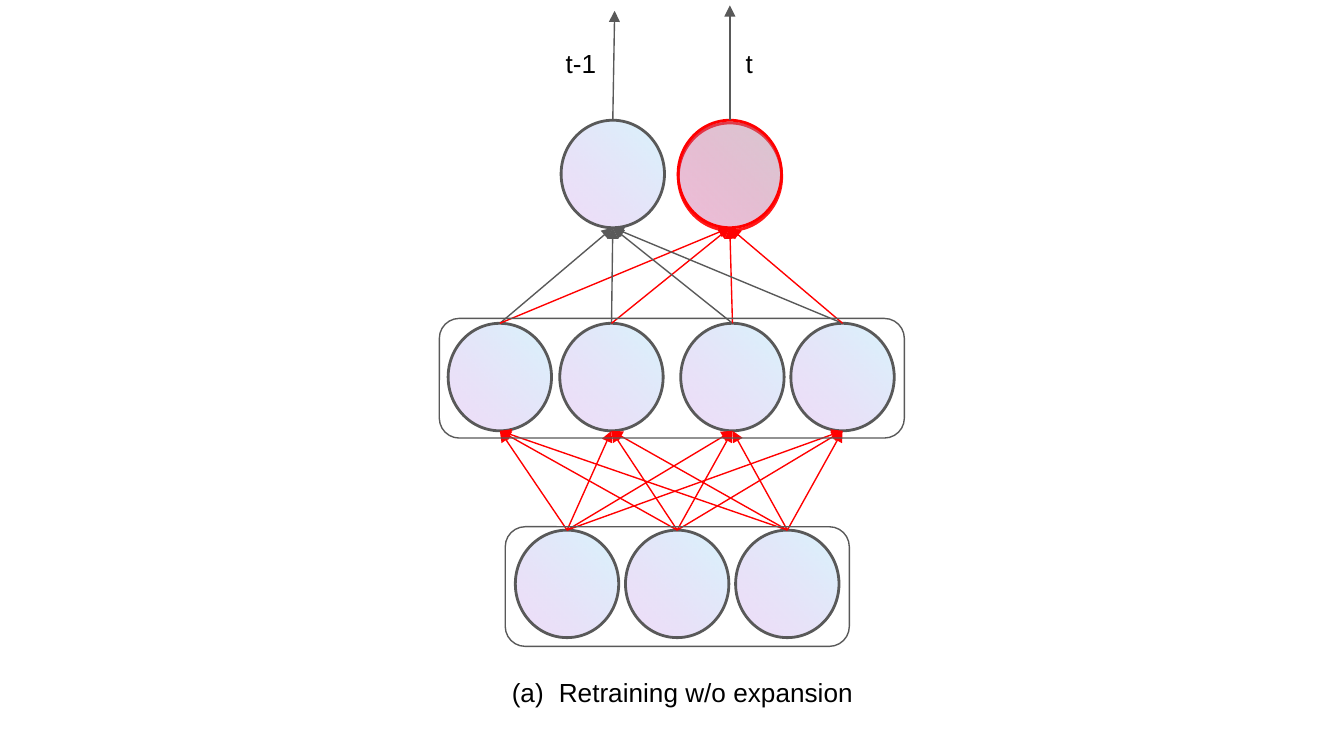
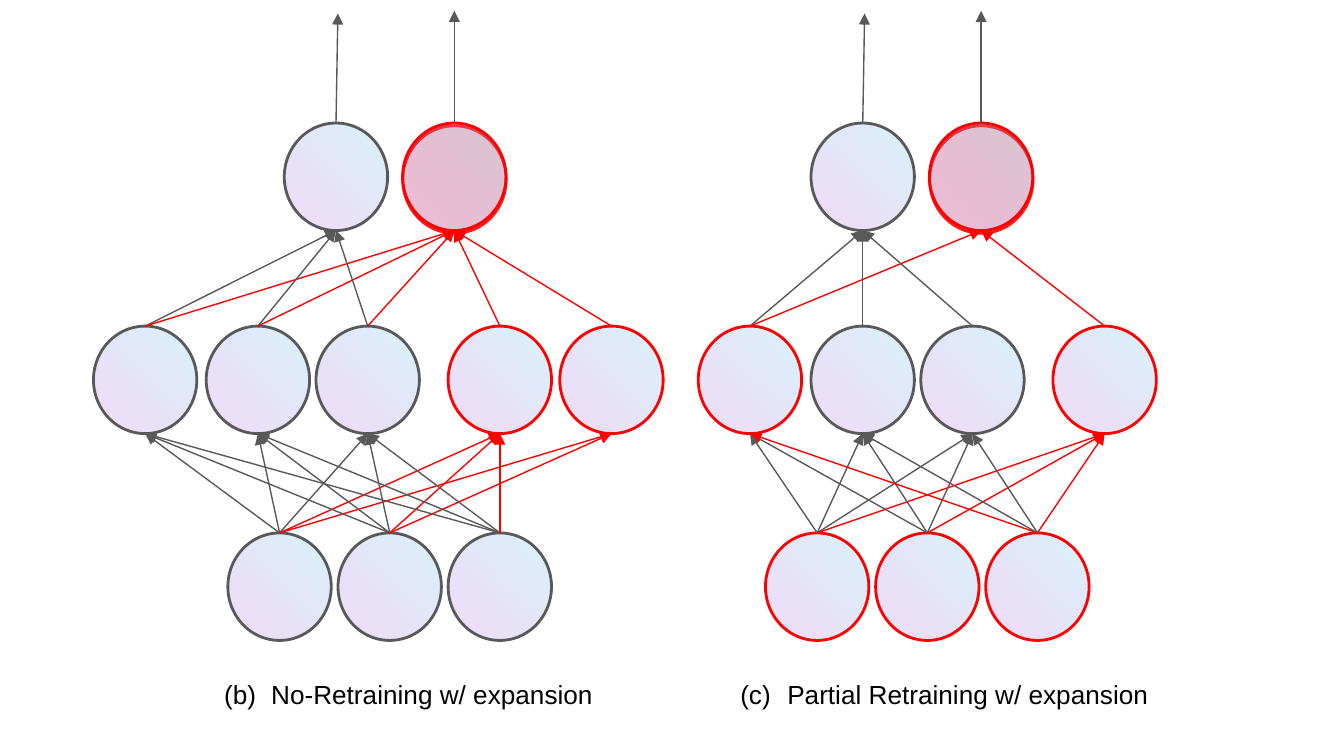
import pptx
import pptx.dml.color
import pptx.enum.dml
import pptx.enum.shapes
import pptx.enum.text
import pptx.oxml.ns
import pptx.util
from lxml import etree

Pt = pptx.util.Pt
RGB = pptx.dml.color.RGBColor
SHAPE = pptx.enum.shapes.MSO_SHAPE
qn = pptx.oxml.ns.qn

GREY = RGB(0x59, 0x59, 0x59)
RED = RGB(0xFF, 0x00, 0x00)
BLACK = RGB(0x00, 0x00, 0x00)
CYAN = RGB(0x69, 0xD4, 0xF4)
VIOLET = RGB(0x9F, 0x39, 0xD5)
INKS = {"g": GREY, "r": RED}

NODE_W, NODE_H = 57.6, 55.4
REACH = NODE_W / 2  # nodes are turned, so their width runs upright
MID_DROP, LOW_DROP = 108.8, 219.6
FONT = {"name": "Arial", "size": Pt(14)}
BOX = {"word_wrap": True,
       "auto_size": pptx.enum.text.MSO_AUTO_SIZE.SHAPE_TO_FIT_TEXT,
       "margin_left": Pt(7.2), "margin_right": Pt(7.2),
       "margin_top": Pt(7.2), "margin_bottom": Pt(7.2)}

# Layers hold node centres and one ink letter per node.
# Links hold one word per source node and one letter per target ("-" is none).
NET_A = {
    "y": 93.2, "tips": (5.8, 2.9),
    "low": ((303.8, 362.8, 421.8), "ggg"),
    "mid": ((267.8, 327.6, 392.4, 451.4), "gggg"),
    "top": ((328.3, 391), "gr"),
    "rise": "rrrr rrrr rrrr", "merge": "gr gr gr gr",
}
NET_B = {
    "y": 94.7, "tips": (7.2, 5.8),
    "low": ((149.8, 208.8, 267.8), "ggg"),
    "mid": ((77.8, 138.2, 197, 267.8, 327.6), "gggrr"),
    "top": ((180, 243.4), "gr"),
    "rise": "gggrr gggrr gggr-", "merge": "gr gr gr -r -r",
}
NET_C = {
    "y": 94.7, "tips": (7.2, 5.8),
    "low": ((437.8, 496.8, 555.8), "rrr"),
    "mid": ((401.8, 462.2, 521, 591.8), "rggr"),
    "top": ((462.2, 525.6), "gr"),
    "rise": "gggr gggr rggr", "merge": "gr g- g- -r",
}


def put(item, values):
    for name, value in values.items():
        setattr(item, name, value)


def add(root, tag, **values):
    return etree.SubElement(root, qn(tag), values)


def stroke(shape, ink, width):
    shape.line.color.rgb = ink
    shape.line.width = Pt(width)


def add_node(host, x, y, ink, glow=False):
    node = host.add_shape(SHAPE.OVAL, Pt(x - NODE_W / 2), Pt(y - NODE_H / 2),
                          Pt(NODE_W), Pt(NODE_H))
    node.rotation = 270
    node.fill.gradient()
    node.fill.gradient_angle = 135
    for stop, tint in zip(node.fill.gradient_stops, (CYAN, VIOLET)):
        stop.color.rgb = tint
    props = node._element.spPr
    for clr, alpha in zip(props.iter(qn("a:srgbClr")), ("26000", "17000")):
        add(clr, "a:alpha", val=alpha)
    stroke(node, ink, 1.5)
    node.shadow.inherit = False
    if glow:
        cast = add(props.find(qn("a:effectLst")), "a:outerShdw", blurRad="0",
                   dist="19050", dir="5100000", algn="bl", rotWithShape="0")
        add(add(cast, "a:srgbClr", val=str(RED)), "a:alpha", val="89000")


def add_arrow(host, start, end, ink):
    kind = pptx.enum.shapes.MSO_CONNECTOR.STRAIGHT
    arrow = host.add_connector(kind, *map(Pt, start + end))
    stroke(arrow, ink, 0.75)
    props = arrow._element.spPr
    add(props.find(qn("a:ln")), "a:tailEnd", type="triangle")
    add(props, "a:effectLst")


def add_links(host, lower, upper, low_y, up_y, words):
    for x, word in zip(lower, words.split()):
        for goal, mark in zip(upper, word):
            if mark in INKS:
                add_arrow(host, (x, low_y - REACH), (goal, up_y + REACH),
                          INKS[mark])


def add_net(host, net):
    top_y = net["y"]
    mid_y, low_y = top_y + MID_DROP, top_y + LOW_DROP
    for name, y in (("low", low_y), ("mid", mid_y), ("top", top_y)):
        for x, mark in zip(*net[name]):
            add_node(host, x, y, INKS[mark], name == "top" and mark == "r")
    low, mid, top = (net[name][0] for name in ("low", "mid", "top"))
    add_links(host, low, mid, low_y, mid_y, net["rise"])
    add_links(host, mid, top, mid_y, top_y, net["merge"])
    for x, tip, lean in zip(top, net["tips"], (1, 0)):
        add_arrow(host, (x, top_y - REACH), (x + lean, tip), GREY)


def add_frame(host, x, y, width):
    frame = host.add_shape(SHAPE.ROUNDED_RECTANGLE, Pt(x), Pt(y), Pt(width),
                           Pt(64.1))
    frame.fill.background()
    stroke(frame, GREY, 0.75)
    frame.shadow.inherit = False


def add_text(host, x, y, width, text, height=31.7):
    box = host.add_textbox(Pt(x), Pt(y), Pt(width), Pt(height))
    put(box.text_frame, BOX)
    para = box.text_frame.paragraphs[0]
    run = para.add_run()
    run.text = text
    put(run.font, FONT)
    run.font.color.rgb = BLACK
    return para


def add_title(host, x, y, width, text, rank):
    """Add a caption numbered (a), (b), (c) by its rank."""
    props = add_text(host, x, y, width, text)._p.get_or_add_pPr()
    props.set("marL", str(Pt(36)))
    props.set("indent", str(-Pt(25.2)))
    add(add(props, "a:buClr"), "a:srgbClr", val=str(BLACK))
    add(props, "a:buAutoNum", type="alphaLcParenBoth", startAt=str(rank))


def main():
    deck = pptx.Presentation()
    put(deck, {"slide_width": Pt(720), "slide_height": Pt(405)})
    blank = deck.slide_layouts[6]

    host = deck.slides.add_slide(blank).shapes.add_group_shape().shapes
    add_net(host, NET_A)
    add_frame(host, 235.4, 170.6, 249.1)
    add_frame(host, 270.7, 282.2, 184.3)
    add_title(host, 256.3, 355, 213.1, "Retraining w/o expansion", 1)
    add_text(host, 296, 18, 43.9, "t-1")
    add_text(host, 392.4, 18, 43.9, "t", 48.2)

    host = deck.slides.add_slide(blank).shapes
    add_net(host, NET_B)
    add_net(host, NET_C)
    add_title(host, 102.2, 356.4, 228.2, "No-Retraining w/ expansion", 2)
    add_title(host, 378.7, 356.4, 247, "Partial Retraining w/ expansion", 3)

    deck.save("out.pptx")


if __name__ == "__main__":
    main()
